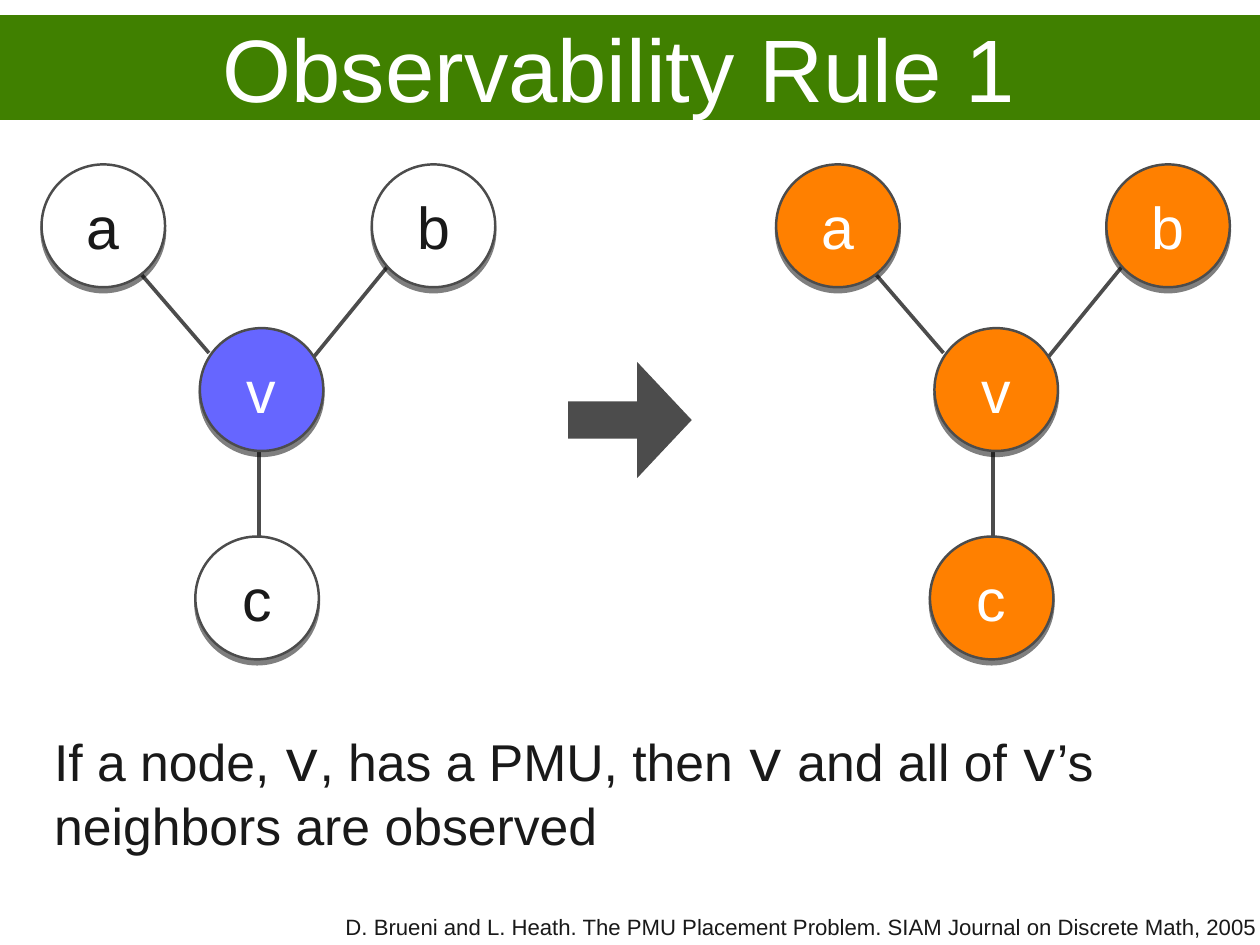
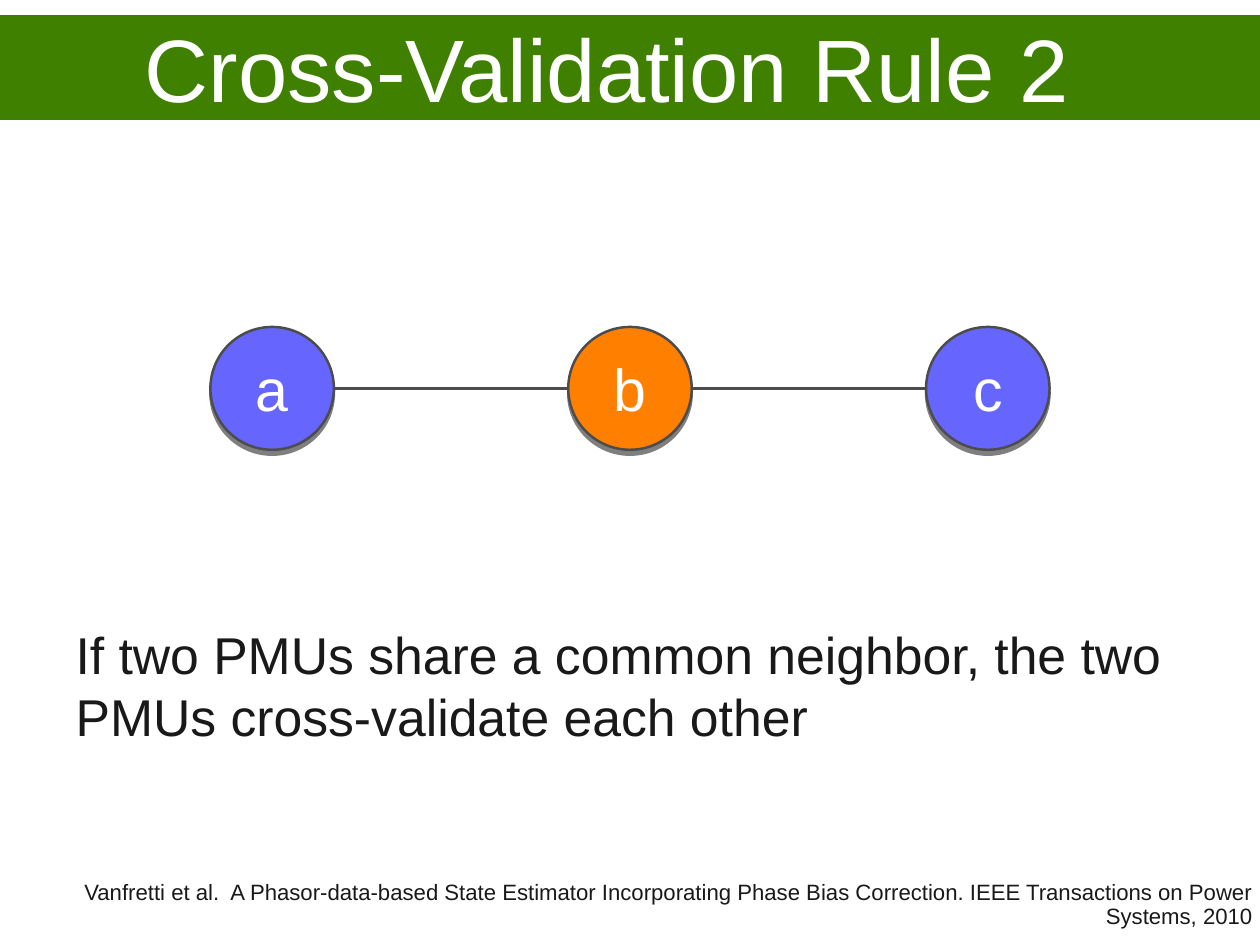
from dataclasses import dataclass
from itertools import pairwise

from lxml.etree import SubElement as sub
from pptx import Presentation
from pptx.dml.color import RGBColor as Rgb
from pptx.enum.shapes import MSO_CONNECTOR as Conn, MSO_SHAPE as Kind
from pptx.enum.text import MSO_ANCHOR as Anchor, MSO_AUTO_SIZE as Fit, PP_ALIGN as Align
from pptx.oxml.ns import qn
from pptx.util import Inches, Pt


@dataclass(frozen=True)
class Theme:
    """Colours, fonts and sizes shared by the slides."""
    green: str = "408000"
    blue: str = "6666FF"
    orange: str = "FF8000"
    white: str = "FFFFFF"
    gray: str = "4C4C4C"
    ink: str = "191919"
    black: str = "000000"
    sans: str = "Arial"
    mono: str = "Courier New"
    title: int = 72
    label: int = 48
    body: int = 42
    cite: int = 18
    rim: int = 2
    edge: int = 3


@dataclass(frozen=True)
class Box:
    """A region in hundredths of the slide's width and height."""
    left: float
    top: float
    width: float
    height: float

    def spot(self, x, y):
        """Return the point at shares x and y of the box."""
        return self.left + x * self.width, self.top + y * self.height

    def size(self):
        """Return left, top, width and height as slide lengths."""
        return (*place(self.left, self.top), *place(self.width, self.height))


T = Theme()
WIDE, HIGH = Inches(14.22), Inches(10.66)
NODE = (9.8, 13)
BAND = Box(-1.8, 1.6, 101.9, 11.1)
STAR = {"a": (0, 0), "b": (0.73, 0), "v": (0.35, 0.33), "c": (0.34, 0.75)}
EDGES = (
    ((0.77, 0.2), (0.6, 0.39)),
    ((0.48, 0.76), (0.48, 0.57)),
    ((0.37, 0.38), (0.2, 0.2)),
)


def place(x, y):
    """Turn grid units into slide lengths."""
    return round(WIDE * x / 100), round(HIGH * y / 100)


def paint(shape, color):
    """Fill a shape with one colour."""
    shape.fill.solid()
    shape.fill.fore_color.rgb = Rgb.from_string(color)


def style(font, size, color, name=T.sans):
    """Set a font's face, size and colour."""
    font.name, font.size = name, Pt(size)
    font.color.rgb = Rgb.from_string(color)


def frame(shape):
    """Clear the margins, centre the text upright and return its first paragraph."""
    text = shape.text_frame
    text.auto_size, text.word_wrap = Fit.NONE, True
    text.margin_left = text.margin_right = text.margin_top = text.margin_bottom = 0
    text.vertical_anchor = Anchor.MIDDLE
    return text.paragraphs[0]


def fit(shape, box):
    """Move a placeholder into a box."""
    shape.left, shape.top, shape.width, shape.height = box.size()


def band(slide, text):
    """Write the title on the green band."""
    title = slide.shapes.title
    fit(title, BAND)
    paint(title, T.green)
    para = frame(title)
    para.text, para.alignment = text, Align.CENTER
    style(para.font, T.title, T.white)


def rule(slide, box, text):
    """Write the rule in the body, with starred symbols in the mono font."""
    body = slide.placeholders[1]
    fit(body, box)
    para = frame(body)
    props = para._p.get_or_add_pPr()
    props.set("marL", "0")
    props.set("indent", "0")
    sub(props, qn("a:buNone"))
    para.alignment, para.space_before = Align.LEFT, Pt(0)
    style(para.font, T.body, T.ink)
    for i, part in enumerate(text.split("*")):
        run = para.add_run()
        run.text = part
        if i % 2:
            style(run.font, T.label, T.ink, T.mono)


def cite(slide, box, text, gap):
    """Write the reference flush right."""
    para = frame(slide.shapes.add_textbox(*box.size()))
    para.text, para.alignment, para.line_spacing = text, Align.RIGHT, gap
    style(para.font, T.cite, T.ink)


def shade(shape):
    """Drop a hard half-clear shadow below a shape."""
    shape.shadow.inherit = False
    cast = sub(shape._element.spPr.find(qn("a:effectLst")), qn("a:outerShdw"),
               blurRad="0", dist=str(Pt(4)), dir="5400000", algn="ctr", rotWithShape="0")
    tint = sub(cast, qn("a:srgbClr"), val=T.black)
    sub(tint, qn("a:alpha"), val="50000")


def node(slide, spot, name, color):
    """Draw a labelled node with its corner at a spot."""
    disc = slide.shapes.add_shape(Kind.OVAL, *Box(*spot, *NODE).size())
    paint(disc, color)
    disc.line.color.rgb, disc.line.width = Rgb.from_string(T.gray), Pt(T.rim)
    shade(disc)
    para = frame(disc)
    para.text, para.alignment = name, Align.CENTER
    style(para.font, T.label, T.ink if color == T.white else T.white)


def edge(slide, start, end):
    """Draw a plain line between two spots."""
    link = slide.shapes.add_connector(Conn.STRAIGHT, *place(*start), *place(*end))
    link.line.color.rgb, link.line.width = Rgb.from_string(T.gray), Pt(T.edge)
    sub(link._element.spPr, qn("a:effectLst"))


def star(slide, box, hub, leaf):
    """Draw three leaves linked to the hub v."""
    for start, end in EDGES:
        edge(slide, box.spot(*start), box.spot(*end))
    for name, share in STAR.items():
        node(slide, box.spot(*share), name, hub if name == "v" else leaf)


def chain(slide, box, nodes):
    """Draw evenly spaced nodes linked in a row."""
    step = (box.width - NODE[0]) / (len(nodes) - 1)
    lefts = [box.left + i * step for i in range(len(nodes))]
    mid = box.top + box.height / 2
    for one, two in pairwise(lefts):
        edge(slide, (one + NODE[0], mid), (two, mid))
    for left, (name, color) in zip(lefts, nodes):
        node(slide, (left, box.top), name, color)


def arrow(slide, box):
    """Draw the block arrow between two graphs."""
    block = slide.shapes.add_shape(Kind.RIGHT_ARROW, *box.size())
    block.adjustments[0], block.adjustments[1] = 0.32, 0.47
    paint(block, T.gray)
    block.line.fill.background()
    block.shadow.inherit = False


def observe(slide):
    """Build the observability slide."""
    band(slide, "Observability Rule 1")
    star(slide, Box(3.3, 17.4, 35.9, 52.5), T.blue, T.white)
    arrow(slide, Box(45.1, 38.3, 9.8, 12.3))
    star(slide, Box(61.6, 17.4, 35.9, 52.5), T.orange, T.orange)
    rule(slide, Box(4.3, 76, 91.4, 15),
         "If a node, *v*, has a PMU, then *v* and all of *v*’s neighbors are observed")
    cite(slide, Box(3.8, 96.6, 95.9, 3.8),
         "D. Brueni and L. Heath. The PMU Placement Problem. "
         "SIAM Journal on Discrete Math, 2005", 0.6)


def check(slide):
    """Build the cross-validation slide."""
    band(slide, "Cross-Validation Rule 2 ")
    chain(slide, Box(16.7, 34.6, 66.6, 13),
          (("a", T.blue), ("b", T.orange), ("c", T.blue)))
    rule(slide, Box(6, 65.4, 91.4, 14.2),
         "If two PMUs share a common neighbor, the two PMUs cross-validate each other")
    cite(slide, Box(2, 92.6, 97.4, 6.4),
         "Vanfretti et al.  A Phasor-data-based State Estimator Incorporating "
         "Phase Bias Correction. IEEE Transactions on Power Systems, 2010", 0.9)


def main():
    """Build and save the deck."""
    deck = Presentation()
    deck.slide_width, deck.slide_height = WIDE, HIGH
    for build in (observe, check):
        build(deck.slides.add_slide(deck.slide_layouts[1]))
    deck.save("out.pptx")


if __name__ == "__main__":
    main()
